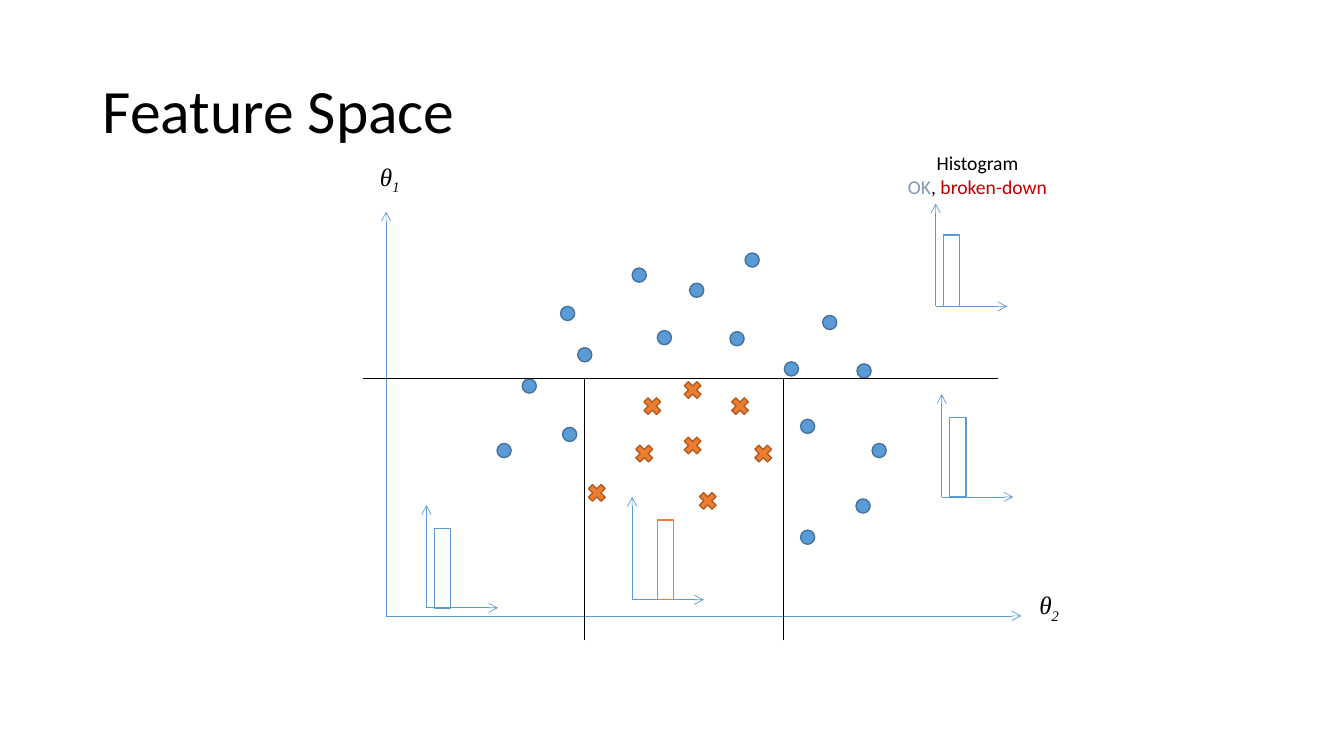
from dataclasses import dataclass

from lxml import etree
from pptx import Presentation
from pptx.dml.color import RGBColor
from pptx.enum.shapes import MSO_CONNECTOR, MSO_SHAPE
from pptx.enum.text import MSO_ANCHOR, MSO_AUTO_SIZE, PP_ALIGN
from pptx.oxml.ns import qn
from pptx.util import Pt

STRAIGHT = MSO_CONNECTOR.STRAIGHT
OVAL, CROSS, RECT = MSO_SHAPE.OVAL, MSO_SHAPE.MATH_MULTIPLY, MSO_SHAPE.RECTANGLE
TOP, MIDDLE = MSO_ANCHOR.TOP, MSO_ANCHOR.MIDDLE
LEFT, CENTER = PP_ALIGN.LEFT, PP_ALIGN.CENTER
GROW, FIXED = MSO_AUTO_SIZE.SHAPE_TO_FIT_TEXT, MSO_AUTO_SIZE.NONE
EMU_PER_PX = 9144


@dataclass(frozen=True)
class Theme:
    black: str = "000000"
    white: str = "FFFFFF"
    blue: str = "5B9BD5"
    blue_edge: str = "43739E"
    orange: str = "ED7D31"
    orange_edge: str = "AF5C24"
    ok: str = "8497B0"
    broken: str = "C00000"
    font: str = "Calibri"
    symbol_font: str = "Times New Roman"
    title_size: int = 44
    symbol_size: int = 18
    legend_size: int = 14
    thin: float = 0.5
    edge: int = 1


class FeatureSlide:
    def __init__(self, prs, theme):
        self.s = prs.slides.add_slide(prs.slide_layouts[6])
        self.theme = theme

    def line(self, x1, y1, x2, y2, color, arrow=False):
        ends = [v * EMU_PER_PX for v in (x1, y1, x2, y2)]
        c = self.s.shapes.add_connector(STRAIGHT, *ends)
        c.line.color.rgb = RGBColor.from_string(color)
        c.line.width = Pt(self.theme.thin)
        spPr = c._element.spPr
        if arrow:
            etree.SubElement(spPr.find(qn("a:ln")), qn("a:tailEnd"), type="arrow")
        etree.SubElement(spPr, qn("a:effectLst"))

    def shape(self, kind, x, y, w, h, fill, edge):
        box = [v * EMU_PER_PX for v in (x, y, w, h)]
        sp = self.s.shapes.add_shape(kind, *box)
        sp.shadow.inherit = False
        sp.fill.solid()
        sp.fill.fore_color.rgb = RGBColor.from_string(fill)
        sp.line.color.rgb = RGBColor.from_string(edge)
        sp.line.width = Pt(self.theme.edge)

    def text(self, x, y, w, h, lines, size, wrap=True, fit=GROW,
             anchor=TOP, align=LEFT, spacing=1.0):
        box = [v * EMU_PER_PX for v in (x, y, w, h)]
        tf = self.s.shapes.add_textbox(*box).text_frame
        tf.word_wrap, tf.auto_size, tf.vertical_anchor = wrap, fit, anchor
        tf.text = "\n".join("" for _ in lines)
        for p, parts in zip(tf.paragraphs, lines):
            p.alignment, p.line_spacing = align, spacing
            for words, color in parts:
                r = p.add_run()
                r.text = words
                r.font.name, r.font.size = self.theme.font, Pt(size)
                r.font.color.rgb = RGBColor.from_string(color)
        return tf

    def theta(self, x, y, index):
        t = self.theme
        parts = [("θ", t.black), (index, t.black)]
        tf = self.text(x, y, 55, 40, [parts], t.symbol_size)
        runs = tf.paragraphs[0].runs
        for r in runs:
            r.font.name, r.font.italic = t.symbol_font, True
        runs[1].font._element.set("baseline", "-25000")

    def axes(self, x, y, width, height):
        self.line(x, y, x, y - height, self.theme.blue, arrow=True)
        self.line(x, y, x + width, y, self.theme.blue, arrow=True)

    def histogram(self, x, y, offset, height, color):
        self.axes(x, y, 71, 102)
        self.shape(RECT, x + offset, y - height, 16, height, self.theme.white, color)


OK_POINTS = [
    (493, 440), (518, 376), (558, 424), (556, 304), (573, 345), (652, 328),
    (684, 281), (724, 329), (627, 266), (739, 251), (778, 359), (816, 313),
    (850, 361), (794, 416), (865, 440), (794, 526), (849, 495),
]
BROKEN_POINTS = [
    (635, 391), (722, 391), (675, 375), (675, 430),
    (745, 438), (627, 438), (580, 477), (690, 485),
]


def main():
    prs = Presentation()
    prs.slide_width, prs.slide_height = 1333 * EMU_PER_PX, 750 * EMU_PER_PX
    t = Theme()
    slide = FeatureSlide(prs, t)

    slide.text(92, 40, 1150, 145, [[("Feature Space", t.black)]], t.title_size,
               fit=FIXED, anchor=MIDDLE, spacing=0.9)
    slide.axes(383, 611, 630, 401)
    slide.theta(367, 155, "1")
    slide.theta(1021, 580, "2")

    for x, y in OK_POINTS:
        slide.shape(OVAL, x, y, 14, 14, t.blue, t.blue_edge)
    for x, y in BROKEN_POINTS:
        slide.shape(CROSS, x, y, 24, 24, t.orange, t.orange_edge)

    slide.line(360, 375, 990, 375, t.black)
    for x in (580, 777):
        slide.line(x, 635, x, 375, t.black)

    legend = [
        [("Histogram", t.black)],
        [("OK", t.ok), (", ", t.black), ("broken-down", t.broken)],
    ]
    slide.text(887, 145, 165, 57, legend, t.legend_size, wrap=False, align=CENTER)
    for x, y, offset, height, color in [
        (928, 304, 8, 71, t.blue),
        (423, 603, 8, 79, t.blue),
        (934, 493, 8, 79, t.blue),
        (627, 595, 25, 79, t.orange),
    ]:
        slide.histogram(x, y, offset, height, color)

    prs.save("out.pptx")


if __name__ == "__main__":
    main()
